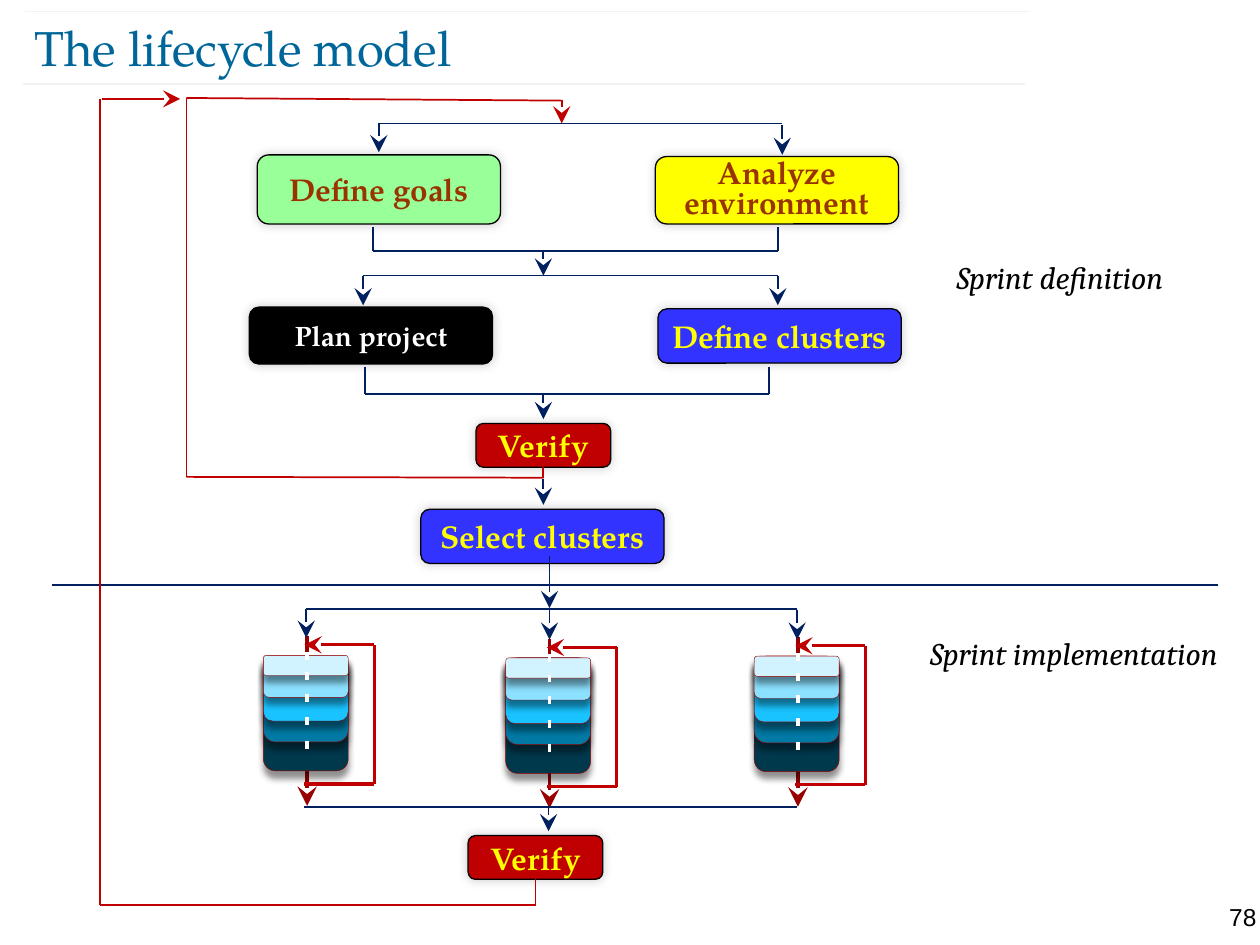
"""Builds the slide on the lifecycle model: a flow chart of sprint definition and sprint implementation."""
import itertools

import lxml.etree
import pptx
import pptx.dml.color
import pptx.enum.shapes
import pptx.enum.text
import pptx.oxml.ns
import pptx.util

Pt = pptx.util.Pt
RGBColor = pptx.dml.color.RGBColor
ALIGN = pptx.enum.text.PP_ALIGN
MIDDLE = pptx.enum.text.MSO_ANCHOR.MIDDLE
ROUNDED = pptx.enum.shapes.MSO_SHAPE.ROUNDED_RECTANGLE
STRAIGHT = pptx.enum.shapes.MSO_CONNECTOR.STRAIGHT

BLACK = RGBColor(0, 0, 0)
WHITE = RGBColor(255, 255, 255)
TEAL = RGBColor(0x00, 0x66, 0x99)
PALE = RGBColor(0xF2, 0xF2, 0xF2)
NAVY = RGBColor(0x00, 0x20, 0x60)
RED = RGBColor(0xC0, 0x00, 0x00)
MAROON = RGBColor(0x99, 0x00, 0x00)
BROWN = RGBColor(0x99, 0x33, 0x00)
GREEN = RGBColor(0x99, 0xFF, 0x99)
YELLOW = RGBColor(0xFF, 0xFF, 0x00)
BLUE = RGBColor(0x33, 0x33, 0xFF)

SERIF = "TeX Gyre Pagella"
TITLE = "The lifecycle model"
BOXES = {
    "goals": ("Define goals", 147, 88.5, 139, 39.5, GREEN, BROWN, 18),
    "environment": ("Analyze environment", 374.5, 89.5, 139, 38.5, YELLOW, BROWN, 18),
    "plan": ("Plan project", 142.5, 175.5, 139, 32.5, BLACK, WHITE, 16),
    "clusters": ("Define clusters", 376, 176.5, 139, 31, BLUE, YELLOW, 18),
    "verify definition": ("Verify", 272, 242, 77, 25, RED, YELLOW, 18),
    "select": ("Select clusters", 240.5, 291, 139, 31, BLUE, YELLOW, 18),
    "verify sprint": ("Verify", 267.5, 477.5, 77, 25, RED, YELLOW, 18),
}
LABELS = [
    ("Sprint definition", 539.5, 143.5, 146, 29, "Cambria", True, 18, ALIGN.LEFT, 7.2),
    ("Sprint implementation", 524.5, 358.5, 196, 29, "Cambria", True, 18, ALIGN.LEFT, 7.2),
    ("78", 680, 515.5, 40, 17, "Arial", False, 14, ALIGN.RIGHT, 2),
]
RULES = [[(14.5, 6.5), (588, 6.5)], [(13, 48), (586, 48)]]
WIRES = [
    (NAVY, [(30, 334.5), (696, 334.5)]),
    (RED, [(310.5, 273), (106.5, 272.5), (106.5, 56), (320.5, 57.5)]),
    (NAVY, [(216.5, 70.5), (447, 70.5)]),
    (NAVY, [(213, 129.5), (213, 143.5), (444.5, 143.5), (444.5, 129.5)]),
    (NAVY, [(207.5, 157.5), (444.5, 157.5)]),
    (NAVY, [(208.5, 210), (208.5, 225), (439.5, 225), (439.5, 210)]),
    (NAVY, [(175, 348), (455.5, 348)]),
    (NAVY, [(174, 461), (455.5, 461)]),
    (RED, [(306, 517), (57, 517), (57, 56.5)]),
]
ARROWS = [
    (RED, [(321, 57), (321, 70.5)]),
    (NAVY, [(216.5, 70.5), (216.5, 87)]),
    (NAVY, [(447, 71.5), (447, 88.5)]),
    (NAVY, [(310.5, 143.5), (310.5, 157.5)]),
    (NAVY, [(207.5, 157.5), (207.5, 174.5)]),
    (NAVY, [(444.5, 157.5), (444.5, 174.5)]),
    (NAVY, [(310.5, 225), (310.5, 239.5)]),
    (NAVY, [(310.5, 273.5), (310.5, 288.5)]),
    (NAVY, [(314, 317.5), (314, 347.5)]),
    (NAVY, [(175, 348), (175, 364.5)]),
    (NAVY, [(314, 348.5), (314, 365.5)]),
    (NAVY, [(455.5, 348.5), (455.5, 365.5)]),
    (NAVY, [(313.5, 461), (313.5, 475)]),
    (RED, [(58.5, 56.5), (103, 56.5)]),
]
VERIFY_EXITS = [("verify definition", (310.5, 273)), ("verify sprint", (306, 517))]

STACKS = [(175.5, 374.5), (456, 375), (314, 376)]
LAYERS = [(66, RGBColor(0x00, 0x38, 0x4C)), (49.5, RGBColor(0x00, 0x79, 0xA4)),
          (37.5, RGBColor(0x19, 0xC3, 0xFF)), (24, RGBColor(0x8B, 0xE1, 0xFF)),
          (11.5, RGBColor(0xD1, 0xF3, 0xFF))]
TICKS = [-2, 9.5, 22, 35.5, 49]


def child(parent, tag, **attributes):
    return lxml.etree.SubElement(parent, pptx.oxml.ns.qn(tag), attributes)


def set_shadow(shape, opacity, blur, distance, angle):
    shape.shadow.inherit = False
    effects = shape._element.spPr.find(pptx.oxml.ns.qn("a:effectLst"))
    shadow = child(effects, "a:outerShdw", blurRad=str(Pt(blur)), dist=str(Pt(distance)),
                   dir=str(angle * 60000), algn="ctr", rotWithShape="0")
    child(child(shadow, "a:srgbClr", val="000000"), "a:alpha", val=str(opacity * 1000))


def draw_line(shapes, points, colour, weight=1, arrow=False):
    """Draws a run of straight segments and returns the last one."""
    for start, end in itertools.pairwise(points):
        line = shapes.add_connector(STRAIGHT, *(Pt(v) for v in start + end))
        line.line.color.rgb = colour
        line.line.width = Pt(weight)
        child(line._element.spPr, "a:effectLst")
    if arrow:
        child(line.line._get_or_add_ln(), "a:tailEnd", type="stealth", w="lg", len="lg")
    return line


def draw_rounded(shapes, bounds, fill, outline):
    rounded = shapes.add_shape(ROUNDED, *(Pt(v) for v in bounds))
    rounded.fill.solid()
    rounded.fill.fore_color.rgb = fill
    rounded.line.color.rgb = outline
    rounded.line.width = Pt(0.75)
    return rounded


def write(frame, text, font, size, colour, align, inset=0):
    frame.text = text
    frame.word_wrap = True
    frame.margin_left = frame.margin_right = Pt(inset)
    frame.margin_top = frame.margin_bottom = Pt(inset / 2)
    frame.vertical_anchor = MIDDLE
    paragraph = frame.paragraphs[0]
    paragraph.alignment = align
    paragraph.font.name = font
    paragraph.font.size = Pt(size)
    paragraph.font.color.rgb = colour
    return paragraph


def draw_box(shapes, text, left, top, width, height, fill, colour, size):
    box = draw_rounded(shapes, (left, top, width, height), fill, BLACK)
    set_shadow(box, 20, 6, 0, 315)
    paragraph = write(box.text_frame, text, SERIF, size, colour, ALIGN.CENTER)
    paragraph.font.bold = True
    if text == "Analyze environment":
        paragraph.line_spacing = 0.8
    return box


def draw_stack(shapes, spine, top):
    stack = shapes.add_group_shape().shapes
    draw_line(stack, [(spine, top - 11), (spine, top + 86)], MAROON, 2.25, arrow=True)
    for height, fill in LAYERS:
        layer = draw_rounded(stack, (spine - 25, top, 48.5, height), fill, MAROON)
        layer.adjustments[0] = 0.14
        layer.line.width = Pt(0.25)
        set_shadow(layer, 43, 4, 4, 90)
    for offset in TICKS:
        draw_line(stack, [(spine, top + offset), (spine, top + offset + 4.5)], WHITE, 2.25)
    left, right, upper, lower = spine - 1.5, spine + 38.5, top - 6, top + 73.5
    draw_line(stack, [(left, lower), (right, lower), (right, upper), (left, upper)],
              RED, 1.75, arrow=True)


def main():
    deck = pptx.Presentation()
    deck.slide_width, deck.slide_height = Pt(720), Pt(540)
    slide = deck.slides.add_slide(deck.slide_layouts[5])
    shapes = slide.shapes

    title = shapes.title
    title.left, title.top, title.width, title.height = Pt(19.5), Pt(9.5), Pt(626), Pt(34.5)
    write(title.text_frame, TITLE, SERIF, 28, TEAL, ALIGN.LEFT)

    for rule in RULES:
        draw_line(shapes, rule, PALE, 0.75)
    boxes = {key: draw_box(shapes, *box) for key, box in BOXES.items()}
    for spine, top in STACKS:
        draw_stack(shapes, spine, top)
    for colour, points in WIRES:
        draw_line(shapes, points, colour)
    for colour, points in ARROWS:
        draw_line(shapes, points, colour, arrow=True)
    for key, end in VERIFY_EXITS:
        draw_line(shapes, [end, end], RED).begin_connect(boxes[key], 2)

    for text, left, top, width, height, font, italic, size, align, inset in LABELS:
        label = shapes.add_textbox(Pt(left), Pt(top), Pt(width), Pt(height))
        write(label.text_frame, text, font, size, BLACK, align, inset).font.italic = italic
    deck.save("out.pptx")


if __name__ == "__main__":
    main()
